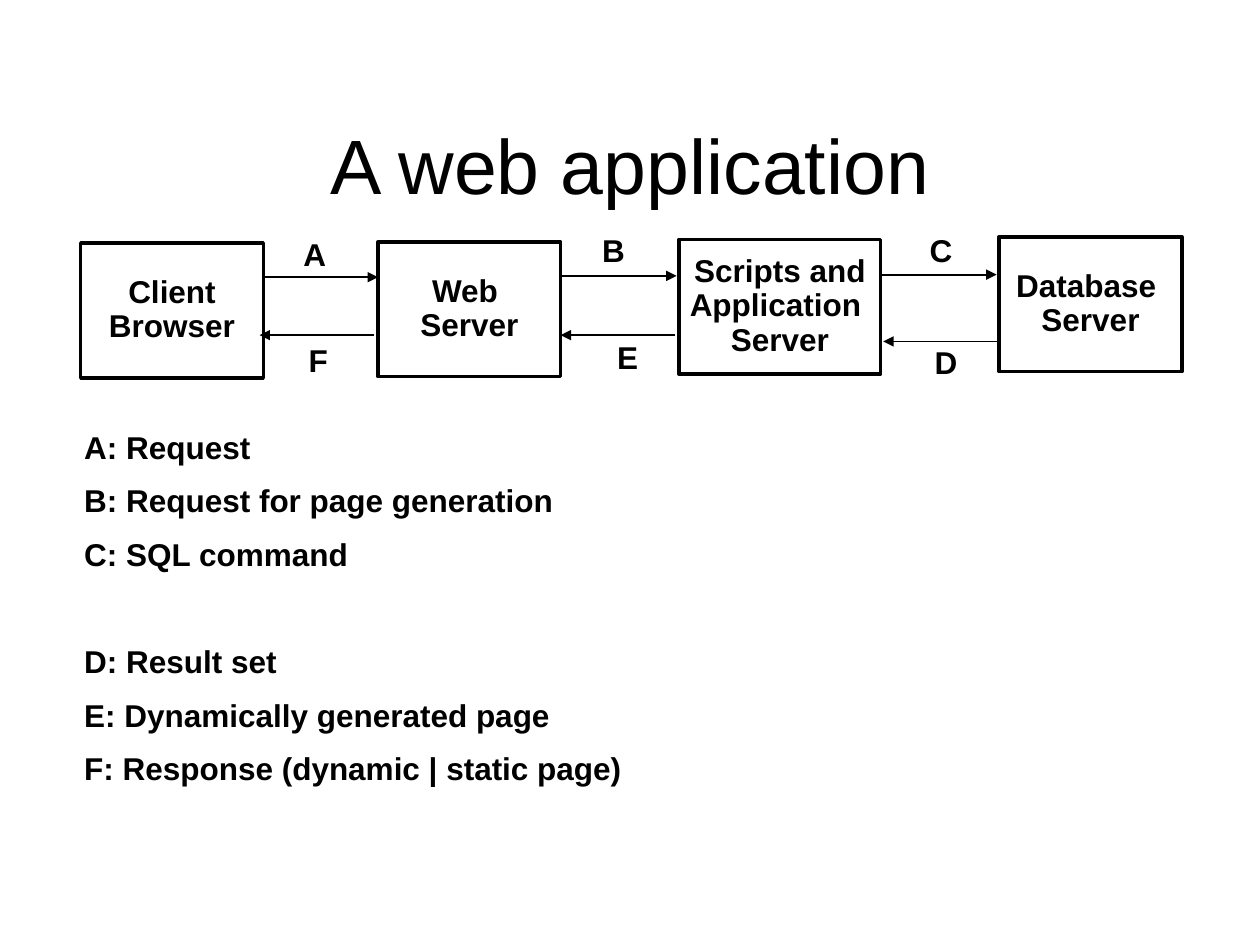
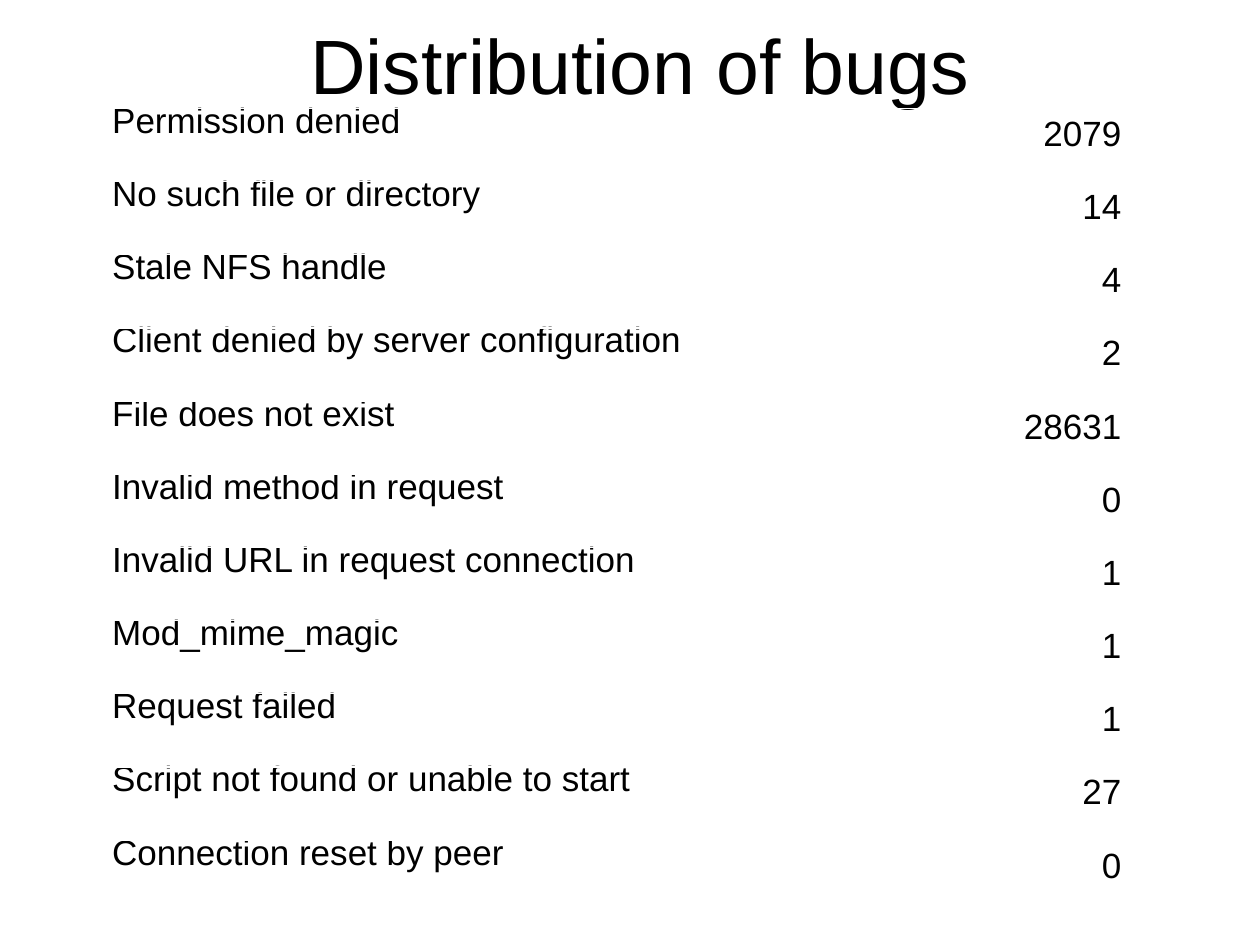
from lxml import etree
from pptx import Presentation
from pptx.dml.color import RGBColor
from pptx.enum import shapes, text
from pptx.oxml import ns
from pptx.util import Inches, Pt

FONT = "Arial"
BLACK = RGBColor(0x00, 0x00, 0x00)
BOX_HEIGHT = 1.07
LABEL_SIZE = (0.41, 0.37)

# Tier: left, top, width, text ("\n" starts a paragraph, "\v" breaks a line)
TIERS = [
    (0.64, 1.93, 1.45, "Client\nBrowser"),
    (3.00, 1.92, 1.45, "Web \vServer"),
    (5.39, 1.90, 1.60, "Scripts and\vApplication \nServer"),
    (7.93, 1.88, 1.45, "Database \nServer"),
]

# Message: letter, meaning, arrow start x, arrow end x, arrow y, label left, label top
MESSAGES = [
    ("A", "Request", 2.09, 3.00, 2.20, 2.31, 1.85),
    ("B", "Request for page generation", 4.46, 5.37, 2.19, 4.68, 1.82),
    ("C", "SQL command", 7.00, 7.91, 2.18, 7.28, 1.82),
    ("D", "Result set", 7.92, 7.01, 2.71, 7.32, 2.71),
    ("E", "Dynamically generated page", 5.36, 4.45, 2.66, 4.80, 2.67),
    ("F", "Response (dynamic | static page)", 2.97, 2.06, 2.66, 2.35, 2.69),
]
FIRST_REPLY = "D"

BUGS = [
    ("Permission denied", 2079),
    ("No such file or directory", 14),
    ("Stale NFS handle", 4),
    ("Client denied by server configuration", 2),
    ("File does not exist", 28631),
    ("Invalid method in request", 0),
    ("Invalid URL in request connection", 1),
    ("Mod_mime_magic", 1),
    ("Request failed", 1),
    ("Script not found or unable to start", 27),
    ("Connection reset by peer", 0),
]


def style(paragraph, size, bold=False, align=text.PP_ALIGN.LEFT, spacing=1.0, before=0):
    paragraph.font.name = FONT
    paragraph.font.size = Pt(size)
    paragraph.font.bold = bold
    paragraph.font.color.rgb = BLACK
    paragraph.alignment = align
    paragraph.line_spacing = spacing
    paragraph.space_before = Pt(before)


def add_text(slide, box, content):
    frame = slide.shapes.add_textbox(*map(Inches, box)).text_frame
    frame.word_wrap = True
    frame.text = content
    return frame


def add_title(slide, box, content):
    frame = add_text(slide, box, content)
    frame.vertical_anchor = text.MSO_ANCHOR.MIDDLE
    style(frame.paragraphs[0], 44, align=text.PP_ALIGN.CENTER)


def add_tier(slide, box, content):
    tier = slide.shapes.add_shape(shapes.MSO_SHAPE.RECTANGLE, *map(Inches, box))
    tier.shadow.inherit = False
    tier.fill.background()
    tier.line.color.rgb = BLACK
    tier.line.width = Pt(2)
    frame = tier.text_frame
    frame.word_wrap = False
    frame.vertical_anchor = text.MSO_ANCHOR.MIDDLE
    frame.text = content
    for paragraph in frame.paragraphs:
        style(paragraph, 18, bold=True, align=text.PP_ALIGN.CENTER, spacing=0.9)


def add_arrow(slide, start, end, y):
    arrow = slide.shapes.add_connector(
        shapes.MSO_CONNECTOR.STRAIGHT, Inches(start), Inches(y), Inches(end), Inches(y))
    arrow.line.color.rgb = BLACK
    arrow.line.width = Pt(1)
    etree.SubElement(arrow.line._get_or_add_ln(), ns.qn("a:tailEnd"), type="triangle")
    etree.SubElement(arrow._element.spPr, ns.qn("a:effectLst"))


def add_legend(slide, box):
    frame = add_text(slide, box, "\n".join(f"{m[0]}: {m[1]}" for m in MESSAGES))
    for paragraph, message in zip(frame.paragraphs, MESSAGES):
        # The replies stand one line apart from the requests
        before = 41.8 if message[0] == FIRST_REPLY else 11.2
        style(paragraph, 18, bold=True, spacing=0.9, before=before)


def add_bug_table(slide, box):
    table = slide.shapes.add_table(len(BUGS), 2, *map(Inches, box)).table
    table.first_row = table.horz_banding = False
    count_width = 1.45
    table.columns[0].width = Inches(box[2] - count_width)
    table.columns[1].width = Inches(count_width)
    for row, (bug, count) in zip(table.rows, BUGS):
        bug_cell, count_cell = row.cells
        bug_cell.text, count_cell.text = bug, str(count)
        style(bug_cell.text_frame.paragraphs[0], 20, spacing=0.6, before=5)
        style(count_cell.text_frame.paragraphs[0], 20, align=text.PP_ALIGN.RIGHT, before=5)
        for cell in row.cells:
            cell.fill.background()


def build_web_application(slide):
    add_title(slide, (0.75, 0.67, 8.5, 1.25), "A web application")
    for left, top, width, content in TIERS:
        add_tier(slide, (left, top, width, BOX_HEIGHT), content)
    for letter, _, start, end, y, left, top in MESSAGES:
        add_arrow(slide, start, end, y)
        label = add_text(slide, (left, top, *LABEL_SIZE), letter)
        style(label.paragraphs[0], 18, bold=True, spacing=0.9, before=11.2)
    add_legend(slide, (0.57, 3.38, 8.99, 2.93))


def build_bug_distribution(slide):
    add_title(slide, (0.83, 0.17, 8.5, 0.67), "Distribution of bugs")
    add_bug_table(slide, (0.79, 0.86, 8.21, 6.39))


def main():
    deck = Presentation()
    deck.slide_width, deck.slide_height = Inches(10), Inches(7.5)
    blank = deck.slide_layouts[6]
    for build in (build_web_application, build_bug_distribution):
        build(deck.slides.add_slide(blank))
    deck.save("out.pptx")


if __name__ == "__main__":
    main()
